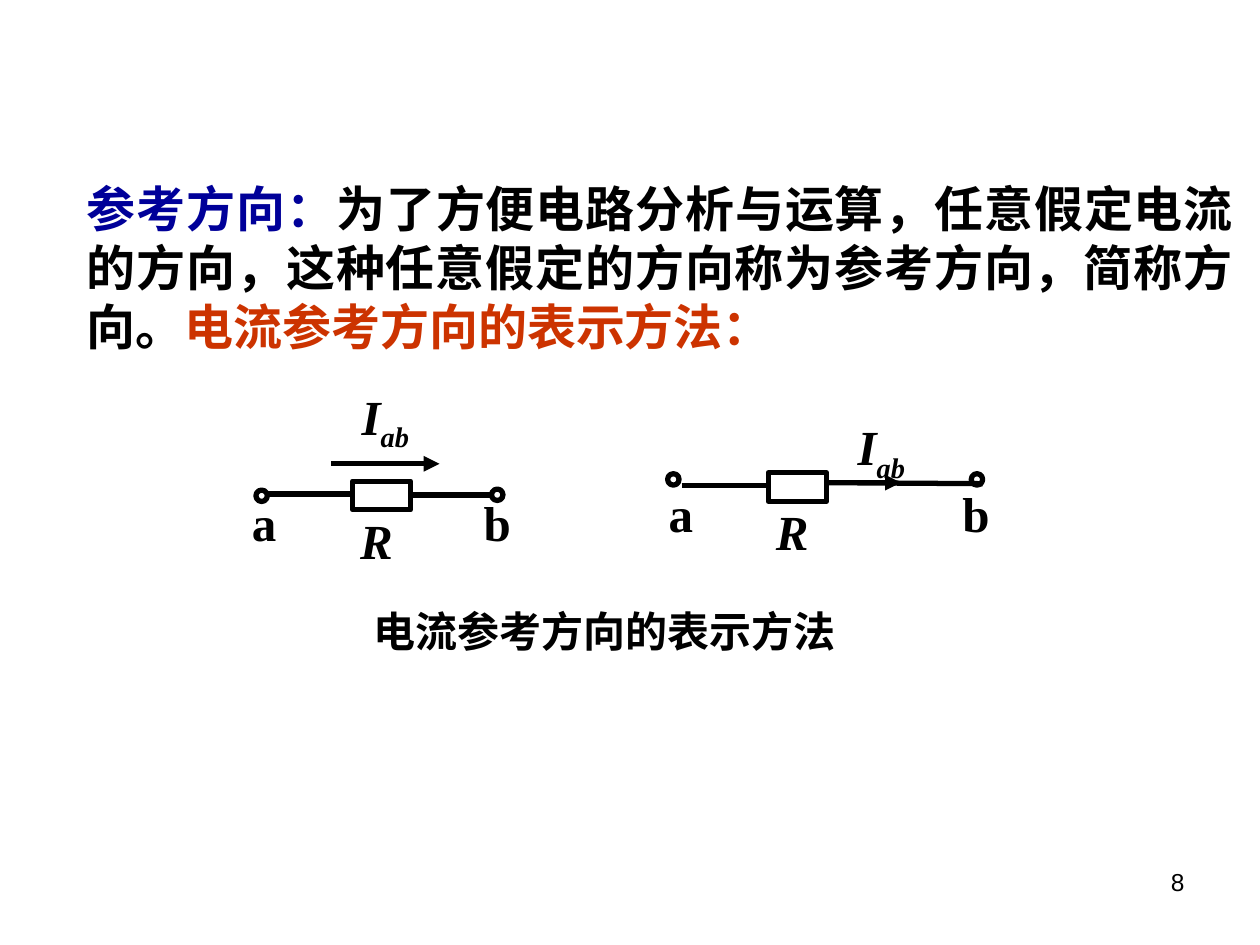
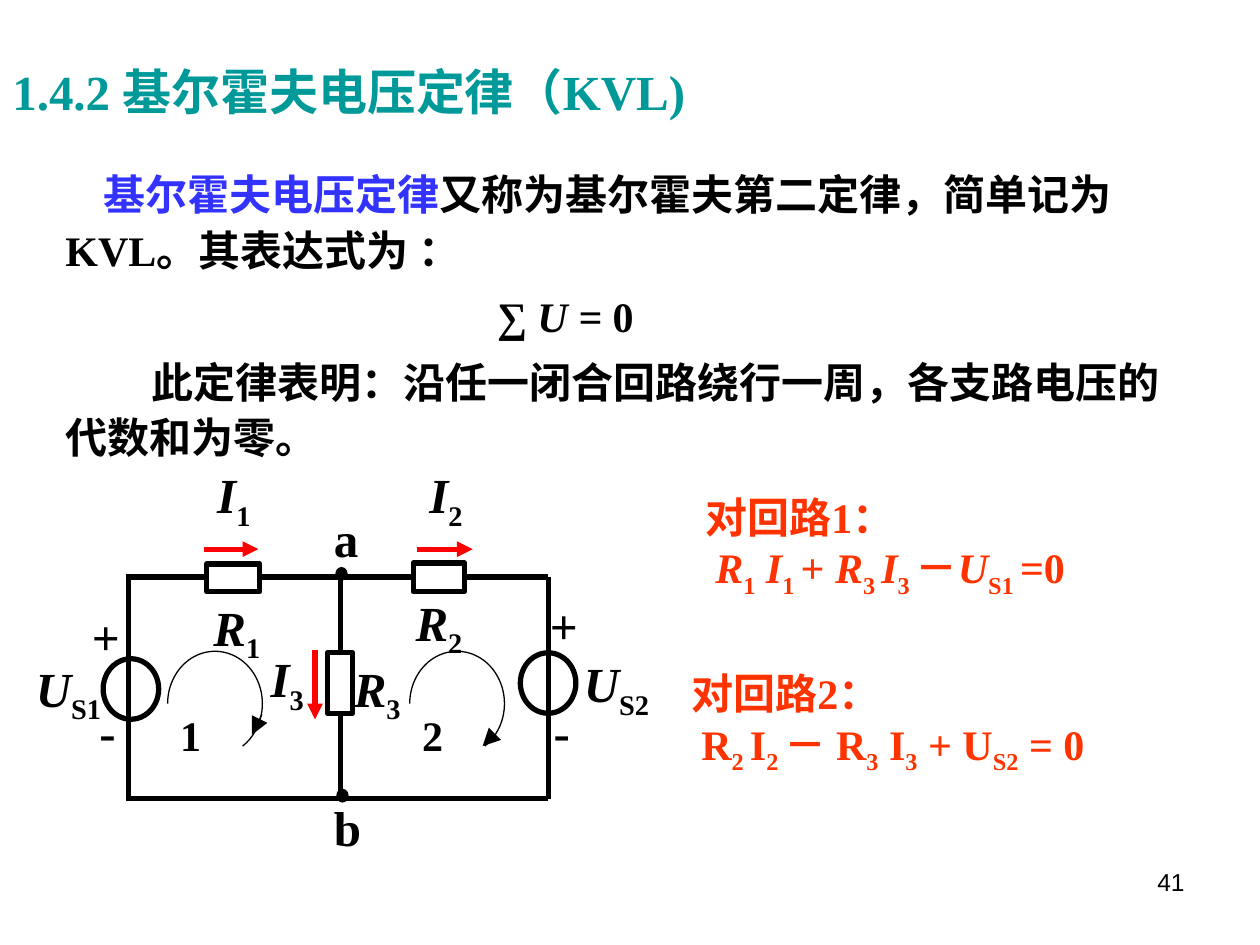
from dataclasses import dataclass

from lxml.etree import SubElement
from pptx import Presentation
from pptx.dml.color import RGBColor
from pptx.enum.shapes import MSO_CONNECTOR, MSO_SHAPE
from pptx.enum.text import PP_ALIGN
from pptx.oxml.ns import qn
from pptx.util import Cm, Pt


@dataclass(frozen=True)
class Theme:
    black: str = "000000"
    navy: str = "000099"
    brick: str = "CC3300"
    teal: str = "009999"
    blue: str = "3333FF"
    orange: str = "FF3300"
    red: str = "FF0000"
    serif: str = "Times New Roman"
    sans: str = "Arial"
    large: int = 28
    medium: int = 24
    small: int = 14
    wire: float = 3
    thin: float = 0.75


theme = Theme()
ITALIC = {"italic": True}
SUBSCRIPT = {"subscript": True}
ITALIC_SUBSCRIPT = {"italic": True, "subscript": True}


def add_text(slide, box, paragraphs, size=theme.large, color=theme.black,
             font_name=theme.serif, bold=True, wrap=False, inset=True, **layout):
    frame = slide.shapes.add_textbox(*map(Cm, box)).text_frame
    frame.word_wrap = wrap
    if not inset:
        for side in ("left", "top", "right", "bottom"):
            setattr(frame, f"margin_{side}", 0)
    for index, (runs, indents) in enumerate(paragraphs):
        paragraph = frame.paragraphs[0] if index == 0 else frame.add_paragraph()
        for name, value in indents.items():
            paragraph._p.get_or_add_pPr().set(name, str(Cm(value)))
        for name, value in layout.items():
            if index or name != "space_before":
                setattr(paragraph, name, value)
        for text, style in runs:
            run = paragraph.add_run()
            run.text = text
            font_format = {"name": font_name, "size": Pt(size), "bold": bold,
                           "italic": style.get("italic", False)}
            for name, value in font_format.items():
                setattr(run.font, name, value)
            run.font.color.rgb = RGBColor.from_string(style.get("color", color))
            if style.get("subscript"):
                run._r.get_or_add_rPr().set("baseline", "-25000")


def add_line(slide, ends, color=theme.black, width=theme.wire, arrow=None):
    line = slide.shapes.add_connector(MSO_CONNECTOR.STRAIGHT, *map(Cm, ends))
    line.line.color.rgb = RGBColor.from_string(color)
    line.line.width = Pt(width)
    if arrow:
        SubElement(line.line._get_or_add_ln(), qn("a:tailEnd"),
                   type="triangle", w=arrow, len=arrow)
    SubElement(line._element.spPr, qn("a:effectLst"))


presentation = Presentation()
presentation.slide_width = Cm(25.4)
presentation.slide_height = Cm(19.05)
slides = []
for page_number in ("8", "41"):
    slide = presentation.slides.add_slide(presentation.slide_layouts[6])
    add_text(slide, (18.21, 17.35, 5.92, 1.32), [([(page_number, {})], {})],
             theme.small, font_name=theme.sans, bold=False, wrap=True,
             alignment=PP_ALIGN.RIGHT)
    slides.append(slide)
direction_slide, voltage_slide = slides

add_text(direction_slide, (1.5, 3.48, 23.62, 3.84), [([
    ("参考方向：", {"color": theme.navy}),
    ("为了方便电路分析与运算，任意假定电流的方向，这种任意假定的方向称为参考方向，简称方向。", {}),
    ("电流参考方向的表示方法：", {"color": theme.brick}),
], {})], wrap=True, alignment=PP_ALIGN.JUSTIFY)
add_text(direction_slide, (7.29, 12.09, 12.45, 1.27),
         [([("电流参考方向的表示方法", {})], {})], theme.medium, wrap=True)

terminal_labels = [
    ("a", 4.83, 9.8, {}), ("b", 9.5, 9.8, {}), ("R", 7.01, 10.16, ITALIC),
    ("a", 13.23, 9.63, {}), ("b", 19.15, 9.63, {}), ("R", 15.39, 9.98, ITALIC),
]
for text, left, top, style in terminal_labels:
    add_text(direction_slide, (left, top, 1.1, 1.45), [([(text, style)], {})])
for left, top in ((7.04, 7.67), (17.04, 8.28)):
    add_text(direction_slide, (left, top, 2.08, 1.45),
             [([("I", ITALIC), ("ab", ITALIC_SUBSCRIPT)], {})])

direction_wires = [
    (5.36, 9.96, 7.11, 9.96), (8.23, 9.98, 9.91, 9.98),
    (13.74, 9.78, 15.49, 9.78), (16.64, 9.73, 19.81, 9.75),
]
for ends in direction_wires:
    add_line(direction_slide, ends)
for ends in ((6.68, 9.35, 8.86, 9.35), (16.64, 9.73, 18.16, 9.73)):
    add_line(direction_slide, ends, arrow="med")

add_text(voltage_slide, (0, 1.12, 22.86, 1.45),
         [([("1.4.2 基尔霍夫电压定律（KVL)", {})], {})], color=theme.teal,
         wrap=True, alignment=PP_ALIGN.JUSTIFY)
add_text(voltage_slide, (1.07, 3.18, 22.66, 6.4), [
    ([("基尔霍夫电压定律", {"color": theme.blue}),
      ("又称为基尔霍夫第二定律，简单记为KVL。其表达式为 ：", {})], {"indent": 0.77}),
    ([("∑ ", {}), ("U = ", ITALIC), ("0", {})], {"marL": 8.7, "indent": 0}),
    ([("此定律表明：沿任一闭合回路绕行一周，各支路电压的代数和为零。", {})],
     {"indent": 1.73}),
], theme.medium, wrap=True, line_spacing=1.1, space_before=Pt(6))

loop_equations = [
    ((13.97, 9.78, 7.87, 2.31), True, "对回路1：", [
        ("R", ITALIC), ("1", SUBSCRIPT), (" I", ITALIC), ("1 ", SUBSCRIPT),
        ("+ ", {}), ("R", ITALIC), ("3 ", SUBSCRIPT), ("I", ITALIC),
        ("3 ", SUBSCRIPT), ("－", {}), ("U", ITALIC), ("S1 ", SUBSCRIPT), ("=0", {})]),
    ((13.69, 13.34, 9.32, 2.31), False, "对回路2：", [
        ("R", {}), ("2 ", SUBSCRIPT), ("I", {}), ("2 ", SUBSCRIPT), ("－ R", {}),
        ("3", SUBSCRIPT), (" I", {}), ("3", SUBSCRIPT), (" + U", {}),
        ("S2", SUBSCRIPT), (" = 0", {})]),
]
for box, wrap, heading, equation in loop_equations:
    add_text(voltage_slide, box, [([(heading, {})], {}), (equation, {"indent": 0.2})],
             theme.medium, theme.orange, wrap=wrap)

quantity_labels = [
    ("I", "1", 4.04, 9.37, 1.35), ("I", "2", 8.38, 9.37, 1.22),
    ("I", "3", 5.23, 13.08, 1.12), ("U", "S1", 0.43, 13.28, 1.9),
    ("U", "S2", 11.63, 13.18, 1.6), ("R", "1", 3.86, 12.04, 1.83),
    ("R", "2", 8.1, 11.94, 1.5), ("R", "3", 7.11, 13.28, 0.99),
]
for symbol, index, left, top, width in quantity_labels:
    add_text(voltage_slide, (left, top, width, 1.19),
             [([(symbol, ITALIC), (index, SUBSCRIPT)], {})],
             inset=False, alignment=PP_ALIGN.CENTER)
polarity_signs = [
    ("+", 1.73, 12.22, 0.81), ("-", 1.88, 14.15, 0.58),
    ("+", 10.87, 12.01, 0.99), ("-", 10.92, 14.15, 0.81),
]
for sign, left, top, width in polarity_signs:
    add_text(voltage_slide, (left, top, width, 1.19), [([(sign, {})], {})],
             inset=False, alignment=PP_ALIGN.CENTER)
for node, top in (("a", 10.46), ("b", 16.28)):
    add_text(voltage_slide, (6.48, top, 1.05, 1.09), [([(node, {})], {})],
             line_spacing=0.7)

voltage_wires = [
    (2.59, 11.63, 4.19, 11.63), (5.28, 11.63, 8.33, 11.63),
    (9.35, 11.63, 11.05, 11.63), (2.59, 16.1, 11.05, 16.1),
    (2.59, 11.58, 2.59, 16.15), (11.05, 11.63, 11.05, 16.1),
    (6.86, 11.63, 6.86, 13.18), (6.86, 14.35, 6.86, 16.1),
]
for ends in voltage_wires:
    add_line(voltage_slide, ends)
current_arrows = [
    (4.11, 11.07, 5.21, 11.07), (8.41, 11.07, 9.53, 11.07), (6.35, 13.11, 6.35, 14.5),
]
for ends in current_arrows:
    add_line(voltage_slide, ends, theme.red, arrow="med")

outlines = [
    (direction_slide, MSO_SHAPE.RECTANGLE, [
        (7.11, 9.7, 1.17, 0.58), (15.49, 9.53, 1.17, 0.58)]),
    (direction_slide, MSO_SHAPE.OVAL, [
        (5.16, 9.88, 0.23, 0.23), (9.91, 9.86, 0.23, 0.23),
        (13.46, 9.55, 0.23, 0.23), (19.58, 9.55, 0.23, 0.23)]),
    (voltage_slide, MSO_SHAPE.RECTANGLE, [
        (4.17, 11.37, 1.07, 0.56), (8.33, 11.35, 1.04, 0.58), (6.6, 13.16, 0.51, 1.22)]),
    (voltage_slide, MSO_SHAPE.OVAL, [
        (2.08, 13.28, 1.12, 1.22), (10.49, 13.16, 1.12, 1.22)]),
]
for slide, kind, boxes in outlines:
    for box in boxes:
        shape = slide.shapes.add_shape(kind, *map(Cm, box))
        shape.shadow.inherit = False
        shape.fill.background()
        shape.line.color.rgb = RGBColor.from_string(theme.black)
        shape.line.width = Pt(theme.wire)

for left, top in ((6.76, 11.43), (6.78, 15.9)):
    dot = voltage_slide.shapes.add_shape(
        MSO_SHAPE.OVAL, Cm(left), Cm(top), Cm(0.25), Cm(0.28))
    dot.shadow.inherit = False
    dot.fill.solid()
    dot.fill.fore_color.rgb = RGBColor.from_string(theme.black)
    dot.line.fill.background()

loops = [
    ("1", 3.38, (5.28, 14.4, 5.08, 14.81)),
    ("2", 8.26, (9.96, 14.81, 9.73, 15.04)),
]
for number, left, arrow_ends in loops:
    arc = voltage_slide.shapes.add_shape(
        MSO_SHAPE.ARC, Cm(left), Cm(13.13), Cm(1.91), Cm(2.11))
    arc.adjustments[0] = 108
    arc.adjustments[1] = 34.2
    arc.shadow.inherit = False
    arc.fill.background()
    arc.line.color.rgb = RGBColor.from_string(theme.black)
    arc.line.width = Pt(theme.thin)
    add_line(voltage_slide, arrow_ends, width=theme.thin, arrow="lg")
    add_text(voltage_slide, (left, 14.17, 1.47, 1.27), [([(number, {})], {})],
             theme.medium, wrap=True)

presentation.save("out.pptx")
